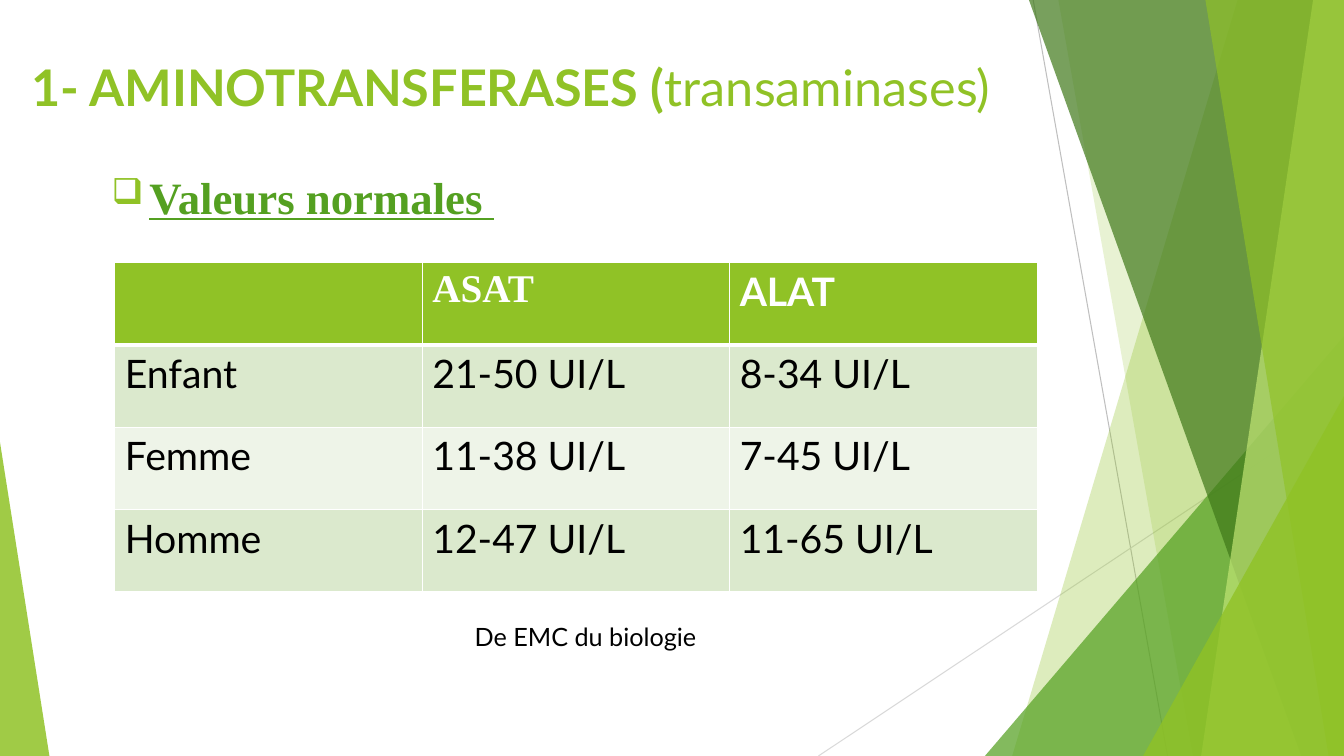
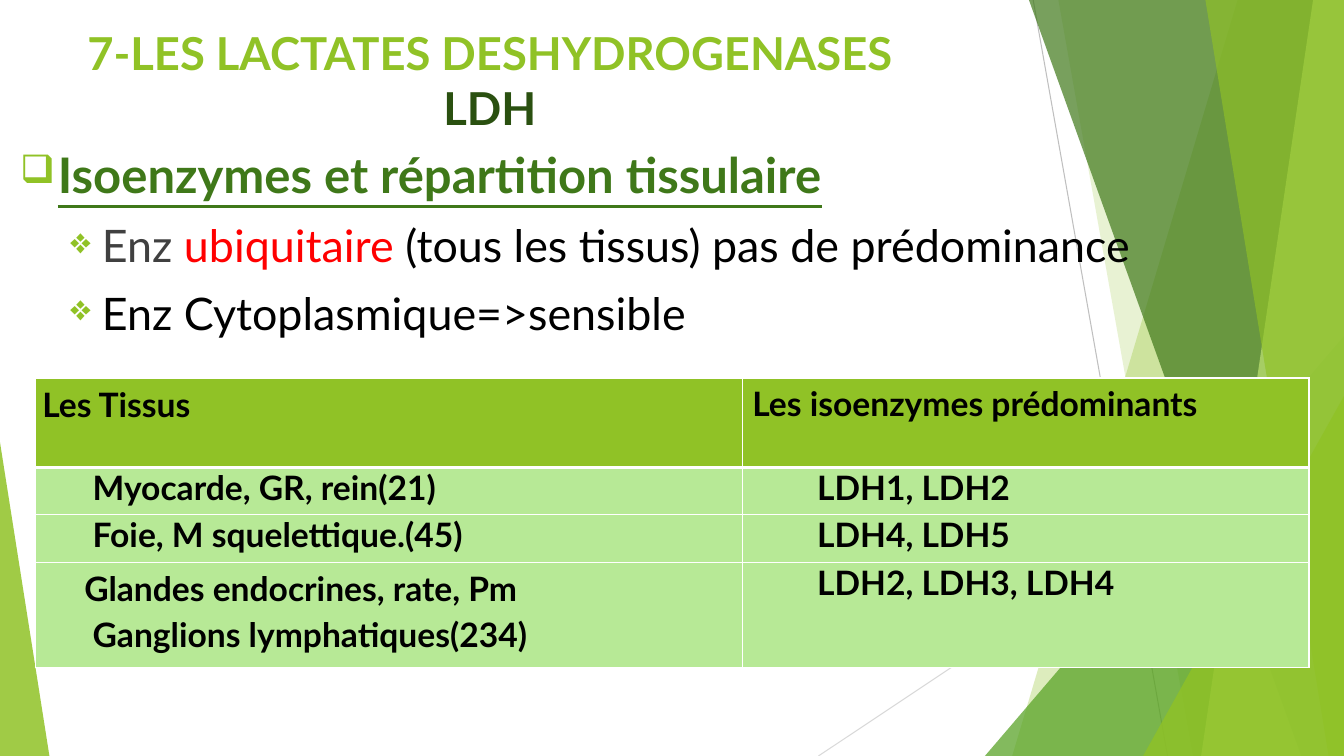
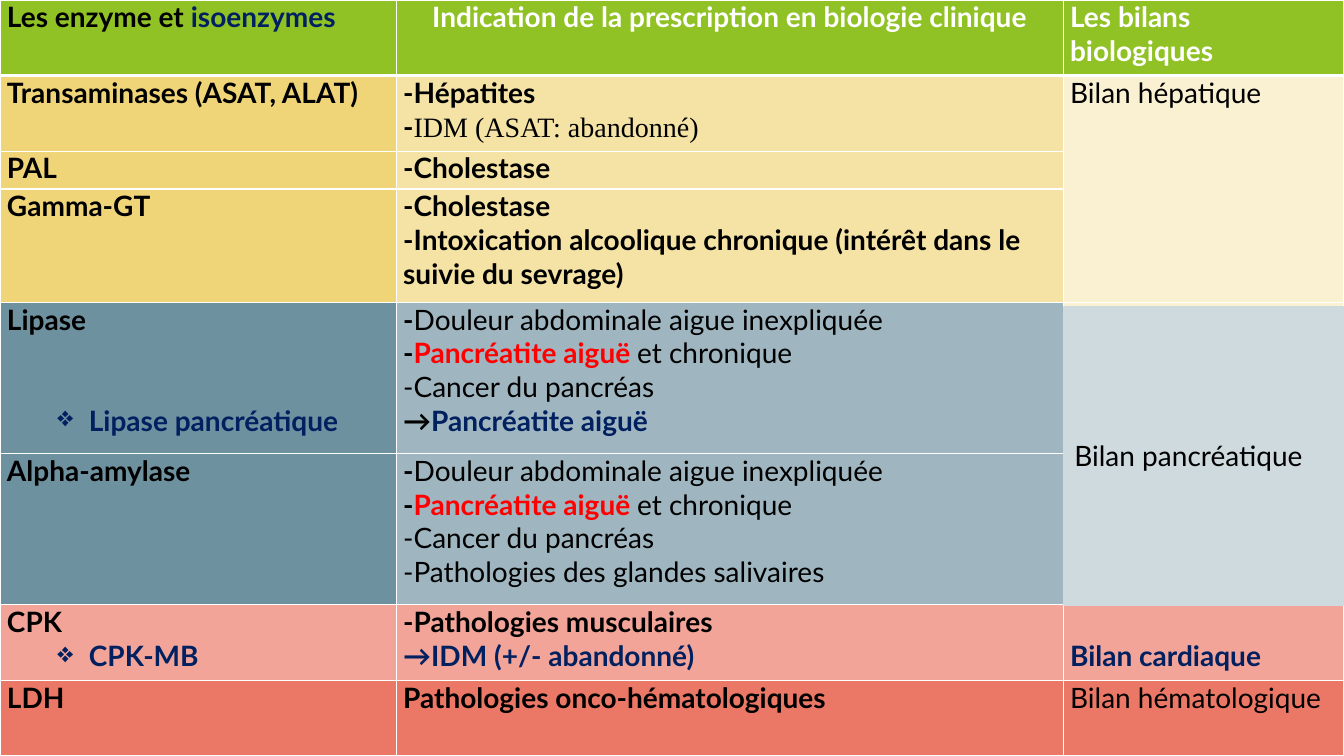
from lxml import etree
from pptx import Presentation
from pptx.dml.color import RGBColor
from pptx.enum.shapes import MSO_CONNECTOR, MSO_SHAPE
from pptx.enum.text import MSO_ANCHOR, MSO_AUTO_SIZE, PP_ALIGN
from pptx.oxml.ns import qn
from pptx.util import Pt

STRAIGHT = MSO_CONNECTOR.STRAIGHT
TRIANGLE, RECTANGLE = MSO_SHAPE.ISOSCELES_TRIANGLE, MSO_SHAPE.RECTANGLE
TOP, MIDDLE = MSO_ANCHOR.TOP, MSO_ANCHOR.MIDDLE
LEFT, CENTER = PP_ALIGN.LEFT, PP_ALIGN.CENTER
NO_FIT = MSO_AUTO_SIZE.NONE

WIDTH, HEIGHT = 960, 540
SANS, SERIF = "Lato", "Times New Roman"
COLORS = {
    "lime": "90C226", "green": "54A021", "forest": "3F7819", "moss": "2A5010",
    "pale lime": "C0E474", "white": "FFFFFF", "black": "000000", "grey": "404040",
    "silver": "BFBFBF", "mist": "D9D9D9", "red": "FF0000", "navy": "002060",
    "band dark": "DBE9CD", "band light": "EEF4E8", "mint": "B7E996",
    "gold": "F0D578", "sand": "F5E3A5", "cream": "FAF1D2",
    "slate": "6E91A0", "steel": "9FB6C0", "ice": "CFDADF",
    "salmon": "F2A499", "coral": "EB7766",
}
RGB = {name: RGBColor.from_string(value) for name, value in COLORS.items()}

# Paragraph layouts and span styles
PLAIN = {}
CENTERED = {"alignment": CENTER}
HEADING = {"bullet": "❑", "bullet_color": "lime", "left": 27, "hang": 27}
POINT = {"bullet": "❖", "bullet_color": "lime", "left": 58.5, "hang": 22.5,
         "space_before": Pt(10)}
SUB_ITEM = {"bullet": "❖", "left": 58.5, "hang": 22.5}
REGULAR, BOLD = {"bold": False}, {"bold": True}
WHITE, NAVY = {"color": "white"}, {"color": "navy"}
BOLD_RED, BOLD_NAVY = {"bold": True, "color": "red"}, {"bold": True, "color": "navy"}


def write(frame, paras, **base):
    """Fill a text frame; a paragraph is (layout, (text, style), ...)."""
    frame.word_wrap = True
    for number, (layout, *spans) in enumerate(paras):
        para = frame.add_paragraph() if number else frame.paragraphs[0]
        layout = dict(layout)
        props = para._p.get_or_add_pPr()
        props.set("marL", str(Pt(layout.pop("left", 0))))
        props.set("indent", str(-Pt(layout.pop("hang", 0))))
        bullet, bullet_color = layout.pop("bullet", None), layout.pop("bullet_color", None)
        if bullet_color:
            tint = etree.SubElement(props, qn("a:buClr"))
            etree.SubElement(tint, qn("a:srgbClr"), val=COLORS[bullet_color])
            etree.SubElement(props, qn("a:buSzPct"), val="80000")
        if bullet:
            etree.SubElement(props, qn("a:buChar"), char=bullet)
        for key, value in layout.items():
            setattr(para, key, value)
        for text, style in spans:
            span = para.add_run()
            span.text = text
            for key, value in {"name": SANS, "color": "black", **base, **style}.items():
                if key == "color":
                    span.font.color.rgb = RGB[value]
                else:
                    setattr(span.font, key, Pt(value) if key == "size" else value)


def add_grid(page, left, top, widths, heights, rows, margins, **base):
    """Add a table; a cell is (fill, paragraphs)."""
    table = page.shapes.add_table(len(heights), len(widths), Pt(left), Pt(top),
                                  Pt(sum(widths)), Pt(sum(heights))).table
    table.horz_banding = False
    for column, width in zip(table.columns, widths):
        column.width = Pt(width)
    for r, (height, row) in enumerate(zip(heights, rows)):
        table.rows[r].height = Pt(height)
        for c, (fill, paras) in enumerate(row):
            cell = table.cell(r, c)
            cell.margin_left = cell.margin_right = Pt(margins[0])
            cell.margin_top = cell.margin_bottom = Pt(margins[1])
            props = cell._tc.get_or_add_tcPr()
            thick_side = {0: "B", 1: "T"}.get(r)
            for side in "LRTB":
                weight = 3 if side == thick_side else 1
                border = etree.SubElement(props, qn("a:ln" + side), w=str(Pt(weight)))
                paint = etree.SubElement(border, qn("a:solidFill"))
                etree.SubElement(paint, qn("a:srgbClr"), val=COLORS["white"])
            cell.fill.solid()
            cell.fill.fore_color.rgb = RGB[fill]
            write(cell.text_frame, paras, **base)
    return table


deck = Presentation()
deck.slide_width, deck.slide_height = Pt(WIDTH), Pt(HEIGHT)
title_only, blank = deck.slide_layouts[5], deck.slide_layouts[6]
values_page, ldh_page, summary_page = [
    deck.slides.add_slide(layout) for layout in (title_only, title_only, blank)]

# Shared decoration: thin lines, then translucent bands and triangles
decoration = []
for start_x, start_y, end_x, end_y, color in [
        (738, 0, 834, HEIGHT, "silver"), (WIDTH, 290, 584.6, HEIGHT, "mist")]:
    line = values_page.shapes.add_connector(
        STRAIGHT, Pt(start_x), Pt(start_y), Pt(end_x), Pt(end_y))
    line.line.color.rgb = RGB[color]
    line.line.width = Pt(0.75)
    etree.SubElement(line.element.spPr, qn("a:effectLst"))
    decoration.append(line)

# A band is (top x, bottom x); a triangle is (left, top, width, apex)
for color, opacity, outline in [
        ("lime", 30, (884, 723)),
        ("lime", 20, (756, 852)),
        ("green", 72, (703.5, 240, 256.5, 1)),
        ("forest", 70, (735, 929.5)),
        ("pale lime", 70, (938, 858)),
        ("lime", 65, (861, 949)),
        ("lime", 80, (816.5, 283, 143.5, 1)),
        ("lime", 85, (0, 316, 35.3, 0))]:
    if len(outline) == 2:
        top_x, bottom_x = outline
        builder = values_page.shapes.build_freeform(Pt(top_x), 0)
        builder.add_line_segments([(Pt(WIDTH), 0), (Pt(WIDTH), Pt(HEIGHT)),
                                   (Pt(bottom_x), Pt(HEIGHT))], close=True)
        facet = builder.convert_to_shape()
    else:
        left, top, width, apex = outline
        facet = values_page.shapes.add_shape(
            TRIANGLE, Pt(left), Pt(top), Pt(width), Pt(HEIGHT - top))
        facet.adjustments[0] = apex
    facet.shadow.inherit = False
    facet.line.fill.background()
    facet.fill.solid()
    facet.fill.fore_color.rgb = RGB[color]
    etree.SubElement(facet.element.xpath(".//a:srgbClr")[0], qn("a:alpha"),
                     val=str(opacity * 1000))
    decoration.append(facet)

# Move the decoration to the master, behind its placeholders
for number, shape in enumerate(decoration):
    shape.element.xpath(".//p:cNvPr")[0].set("id", str(100 + number))
    deck.slide_master.shapes.element.insert(2 + number, shape.element)

# Titles
for page, (left, top, width), size, paras in [
        (values_page, (15, 36.7, 716), 36, [
            ({"alignment": LEFT}, ("1- AMINOTRANSFERASES (", BOLD),
             ("transaminases)", REGULAR))]),
        (ldh_page, (39.6, 14.4, 628.6), 32.4, [
            (CENTERED, ("7-LES LACTATES DESHYDROGENASES ", BOLD)),
            (CENTERED, ("LDH ", {"bold": True, "color": "moss"}))])]:
    title = page.shapes.title
    title.left, title.top, title.width, title.height = map(Pt, (left, top, width, 103.7))
    title.text_frame.auto_size = NO_FIT
    title.text_frame.vertical_anchor = TOP
    write(title.text_frame, paras, size=size, color="lime")

# Body text and caption
for page, place, size, paras in [
        (values_page, (72.7, 117.4, 676.8, 305.3), 32, [
            (HEADING, ("Valeurs normales ", {"name": SERIF, "color": "green",
                                             "bold": True, "underline": True}))]),
        (values_page, (332, 440.6, 377.3, 29), 18, [(PLAIN, ("De EMC du biologie", PLAIN))]),
        (ldh_page, (7.2, 100, 874, 391), 32, [
            (HEADING, ("Isoenzymes et répartition tissulaire",
                       {"size": 35, "color": "forest", "bold": True, "underline": True})),
            (POINT, ("Enz ", {"color": "grey"}), ("ubiquitaire ", {"color": "red"}),
             ("(tous les tissus) pas de prédominance", PLAIN)),
            (POINT, ("Enz Cytoplasmique=>sensible", PLAIN))])]:
    box = page.shapes.add_textbox(*map(Pt, place))
    write(box.text_frame, paras, size=size)

# Normal values table
HEAD = {"bold": True, "color": "white"}
value_rows = [[("lime", []),
               ("lime", [(PLAIN, ("ASAT", {**HEAD, "name": SERIF}))]),
               ("lime", [(PLAIN, ("ALAT", HEAD))])]]
for number, texts in enumerate([("Enfant", "21-50 UI/L", "8-34 UI/L"),
                                ("Femme", "11-38 UI/L", "7-45 UI/L"),
                                ("Homme", "12-47 UI/L", "11-65 UI/L")]):
    fill = "band light" if number % 2 else "band dark"
    value_rows.append([(fill, [(PLAIN, (text, REGULAR))]) for text in texts])
add_grid(values_page, 82, 187.5, [219.6] * 3, [58.8] * 4, value_rows, (7.2, 3.6), size=28)

# Isoenzyme table
LOOSE = {"line_spacing": 1.15}
tissue_rows = [[("lime", [(LOOSE, ("Les Tissus", PLAIN))]),
                ("lime", [(PLAIN, ("Les isoenzymes prédominants", PLAIN))])]]
for tissues, isoenzymes in [
        ([({"left": 36}, ("Myocarde, GR, rein(21)", PLAIN))], "LDH1, LDH2"),
        ([({"left": 36}, ("Foie, M squelettique.(45)", PLAIN))], "LDH4, LDH5"),
        ([({**LOOSE, "left": 30}, ("Glandes endocrines, rate, Pm", PLAIN)),
          ({**LOOSE, "left": 36}, ("Ganglions lymphatiques(234)", PLAIN))],
         "LDH2, LDH3, LDH4")]:
    tissue_rows.append([("mint", tissues), ("mint", [({"left": 48.5}, (isoenzymes, PLAIN))])])
tissue_table = add_grid(ldh_page, 25.2, 270, [505, 404.8], [64, 33.8, 33.8, 75],
                        tissue_rows, (5, 0), size=24, bold=True)
heading_cell = tissue_table.cell(0, 1)
heading_cell.margin_left, heading_cell.margin_top = Pt(7.2), Pt(3.6)

# Summary table
pain = [(PLAIN, ("-", BOLD), ("Douleur abdominale aigue inexpliquée", REGULAR)),
        (PLAIN, ("-", BOLD), ("Pancréatite aiguë ", BOLD_RED), ("et chronique", REGULAR)),
        (PLAIN, ("-Cancer du pancréas", REGULAR))]
summary_rows = [
    [("lime", [(PLAIN, ("Les enzyme et ", PLAIN), ("isoenzymes", NAVY))]),
     ("lime", [(CENTERED, ("Indication de la prescription en biologie clinique", WHITE))]),
     ("lime", [(PLAIN, ("Les bilans biologiques", WHITE))])],
    [("gold", [(PLAIN, ("Transaminases (ASAT, ALAT)", PLAIN))]),
     ("sand", [(PLAIN, ("-Hépatites", PLAIN)),
               (PLAIN, ("-", PLAIN),
                ("IDM (ASAT: abandonné)", {"name": SERIF, "bold": False}))]),
     ("cream", [(PLAIN, ("Bilan hépatique", REGULAR))])],
    [("gold", [(PLAIN, ("PAL", PLAIN))]),
     ("sand", [(PLAIN, ("-Cholestase", PLAIN))]),
     ("cream", [])],
    [("gold", [(PLAIN, ("Gamma-GT", PLAIN))]),
     ("sand", [(PLAIN, ("-Cholestase", PLAIN)),
               (PLAIN, ("-Intoxication alcoolique chronique (intérêt dans le "
                        "suivie du sevrage)", PLAIN))]),
     ("cream", [])],
    [("slate", [(PLAIN, ("Lipase", PLAIN)),
                ({**SUB_ITEM, "space_before": Pt(48)}, ("Lipase pancréatique", NAVY))]),
     ("steel", pain + [(PLAIN, ("→", BOLD), ("Pancréatite aiguë", BOLD_NAVY))]),
     ("cream", [])],
    [("slate", [(PLAIN, ("Alpha-amylase", PLAIN))]),
     ("steel", pain + [(PLAIN, ("-Pathologies des glandes salivaires", REGULAR))]),
     ("cream", [])],
    [("salmon", [(PLAIN, ("CPK", PLAIN)), (SUB_ITEM, ("CPK-MB", NAVY))]),
     ("salmon", [(PLAIN, ("-Pathologies musculaires", PLAIN)),
                 (PLAIN, ("→IDM (+/- abandonné)", NAVY))]),
     ("salmon", [(PLAIN, ("Bilan cardiaque", NAVY))])],
    [("coral", [(PLAIN, ("LDH", PLAIN))]),
     ("coral", [(PLAIN, ("Pathologies onco-hématologiques", PLAIN))]),
     ("coral", [(PLAIN, ("Bilan hématologique", REGULAR))])],
]
line_counts = [2, 2, 1, 3, 4, 4, 2, 2]
summary_table = add_grid(summary_page, 0, 0, [283, 476.4, 200.6],
                         [27 * count for count in line_counts],
                         summary_rows, (5, 0), size=20, bold=True)
for first, last in [(1, 3), (4, 5)]:
    summary_table.cell(first, 2).merge(summary_table.cell(last, 2))
summary_table.cell(6, 2).margin_top = Pt(24)

# Pancreatic panel over the merged cell
panel = summary_page.shapes.add_shape(RECTANGLE, Pt(760.3), Pt(219), Pt(199.5), Pt(213))
panel.shadow.inherit = False
panel.fill.solid()
panel.fill.fore_color.rgb = panel.line.color.rgb = RGB["ice"]
panel.line.width = Pt(1.5)
panel.text_frame.vertical_anchor = MIDDLE
write(panel.text_frame, [({"alignment": LEFT}, ("Bilan pancréatique", PLAIN))], size=20)

deck.save("out.pptx")
